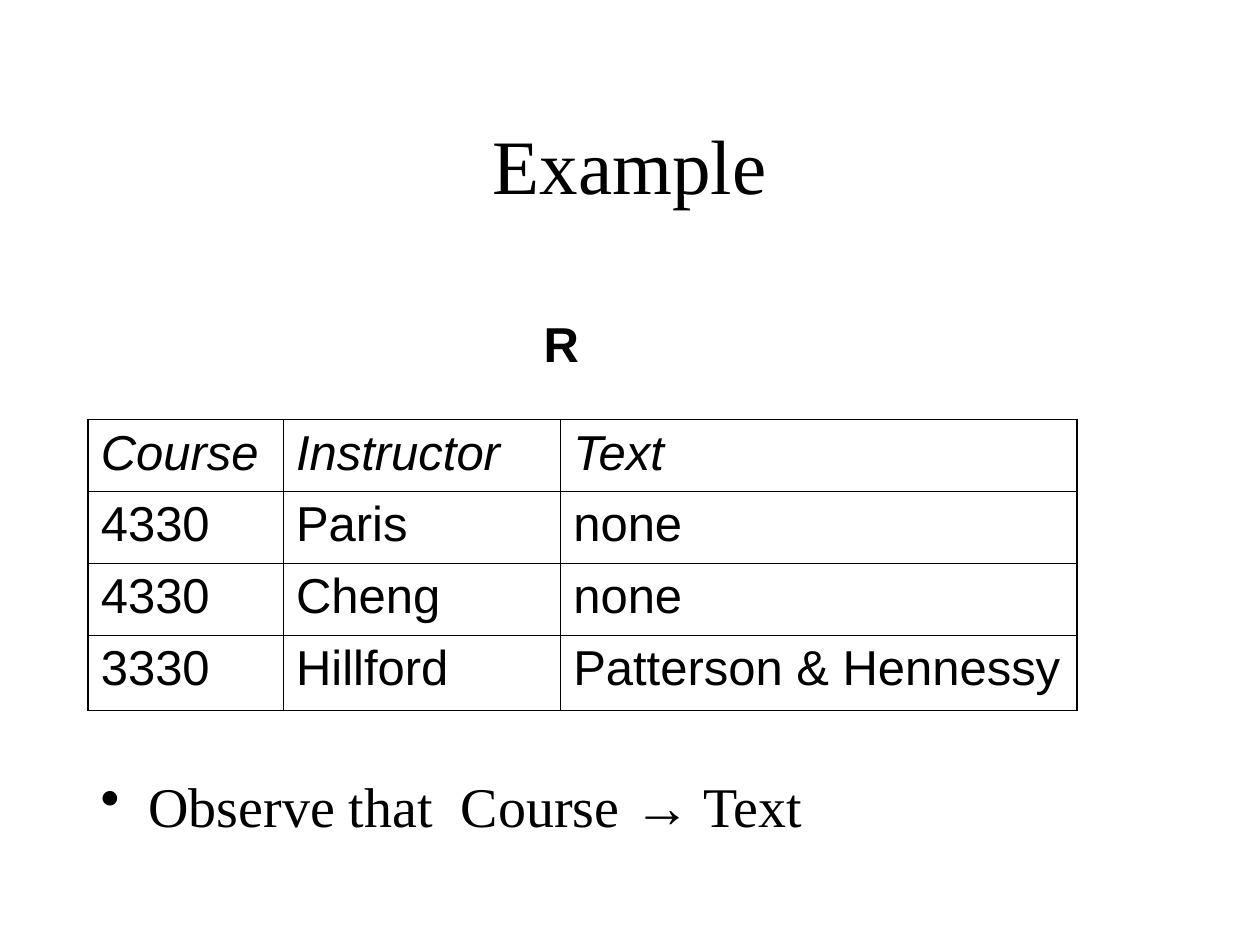
from lxml.etree import SubElement
from pptx import Presentation
from pptx.dml.color import RGBColor
from pptx.enum.text import MSO_ANCHOR, PP_ALIGN
from pptx.oxml.ns import qn
from pptx.util import Inches, Pt

BLACK = RGBColor(0x00, 0x00, 0x00)
SERIF = "Times New Roman"
SANS = "Arial"
THIN, THICK = Pt(0.45), Pt(1.08)
COLUMN_WIDTHS = (1.55, 2.2, 4.1)
ROW_HEIGHTS = (0.57, 0.57, 0.57, 0.6)
COURSES = (
    ("Course", "Instructor", "Text"),
    ("4330", "Paris", "none"),
    ("4330", "Cheng", "none"),
    ("3330", "Hillford", "Patterson & Hennessy"),
)


def add_run(paragraph, text, size, face, bold=False, italic=False):
    """Append one black run to the paragraph."""
    run = paragraph.add_run()
    run.text = text
    run.font.size = Pt(size)
    run.font.name = face
    run.font.bold = bold
    run.font.italic = italic
    run.font.color.rgb = BLACK


def add_frame(slide, box, anchor=MSO_ANCHOR.TOP):
    """Add a wrapping text box and return its text frame."""
    frame = slide.shapes.add_textbox(*map(Inches, box)).text_frame
    frame.word_wrap = True
    frame.vertical_anchor = anchor
    return frame


def add_heading(slide, box, text, size, face, bold=False):
    """Place a centred one-line heading in the box."""
    heading = add_frame(slide, box, MSO_ANCHOR.MIDDLE).paragraphs[0]
    heading.alignment = PP_ALIGN.CENTER
    add_run(heading, text, size, face, bold)


def add_observation(slide, box):
    """Place the bulleted dependency statement in the box."""
    observation = add_frame(slide, box).paragraphs[0]
    properties = observation._p.get_or_add_pPr()
    properties.set("marL", str(Inches(0.38)))
    properties.set("indent", str(-Inches(0.38)))
    bullet_color = SubElement(properties, qn("a:buClr"))
    SubElement(bullet_color, qn("a:srgbClr"), val=str(BLACK))
    SubElement(properties, qn("a:buChar"), char="•")
    for text, face in (("Observe that  Course ", SERIF), ("→", SANS), (" Text", SERIF)):
        add_run(observation, text, 32, face)


def set_borders(cell, outer_sides):
    """Draw the cell borders, thick on the outer sides."""
    properties = cell._tc.get_or_add_tcPr()
    for side in "LRTB":
        width = THICK if side in outer_sides else THIN
        line = SubElement(properties, qn(f"a:ln{side}"), w=str(width))
        fill = SubElement(line, qn("a:solidFill"))
        SubElement(fill, qn("a:srgbClr"), val=str(BLACK))


def add_relation(slide, left, top):
    """Place the course relation with its top left corner at the given point."""
    last_row, last_column = len(ROW_HEIGHTS) - 1, len(COLUMN_WIDTHS) - 1
    box = (left, top, sum(COLUMN_WIDTHS), sum(ROW_HEIGHTS))
    relation = slide.shapes.add_table(
        len(ROW_HEIGHTS), len(COLUMN_WIDTHS), *map(Inches, box)
    ).table
    relation.first_row = relation.horz_banding = False
    for column, width in zip(relation.columns, COLUMN_WIDTHS):
        column.width = Inches(width)
    for r, (height, values) in enumerate(zip(ROW_HEIGHTS, COURSES)):
        relation.rows[r].height = Inches(height)
        for c, value in enumerate(values):
            cell = relation.cell(r, c)
            add_run(cell.text_frame.paragraphs[0], value, 28, SANS, italic=r == 0)
            edges = {"L": c == 0, "R": c == last_column, "T": r == 0, "B": r == last_row}
            set_borders(cell, [side for side, is_outer in edges.items() if is_outer])
            cell.fill.background()


def main():
    """Build and save the slide."""
    presentation = Presentation()
    presentation.slide_width = Inches(10)
    presentation.slide_height = Inches(7.5)
    slide = presentation.slides.add_slide(presentation.slide_layouts[6])
    add_heading(slide, (0.75, 0.67, 8.5, 1.25), "Example", 44, SERIF)
    add_observation(slide, (0.7, 6.07, 9, 0.72))
    add_relation(slide, 0.7, 3.33)
    add_heading(slide, (4.17, 2.44, 0.57, 0.57), "R", 28, SANS, bold=True)
    presentation.save("out.pptx")


if __name__ == "__main__":
    main()
